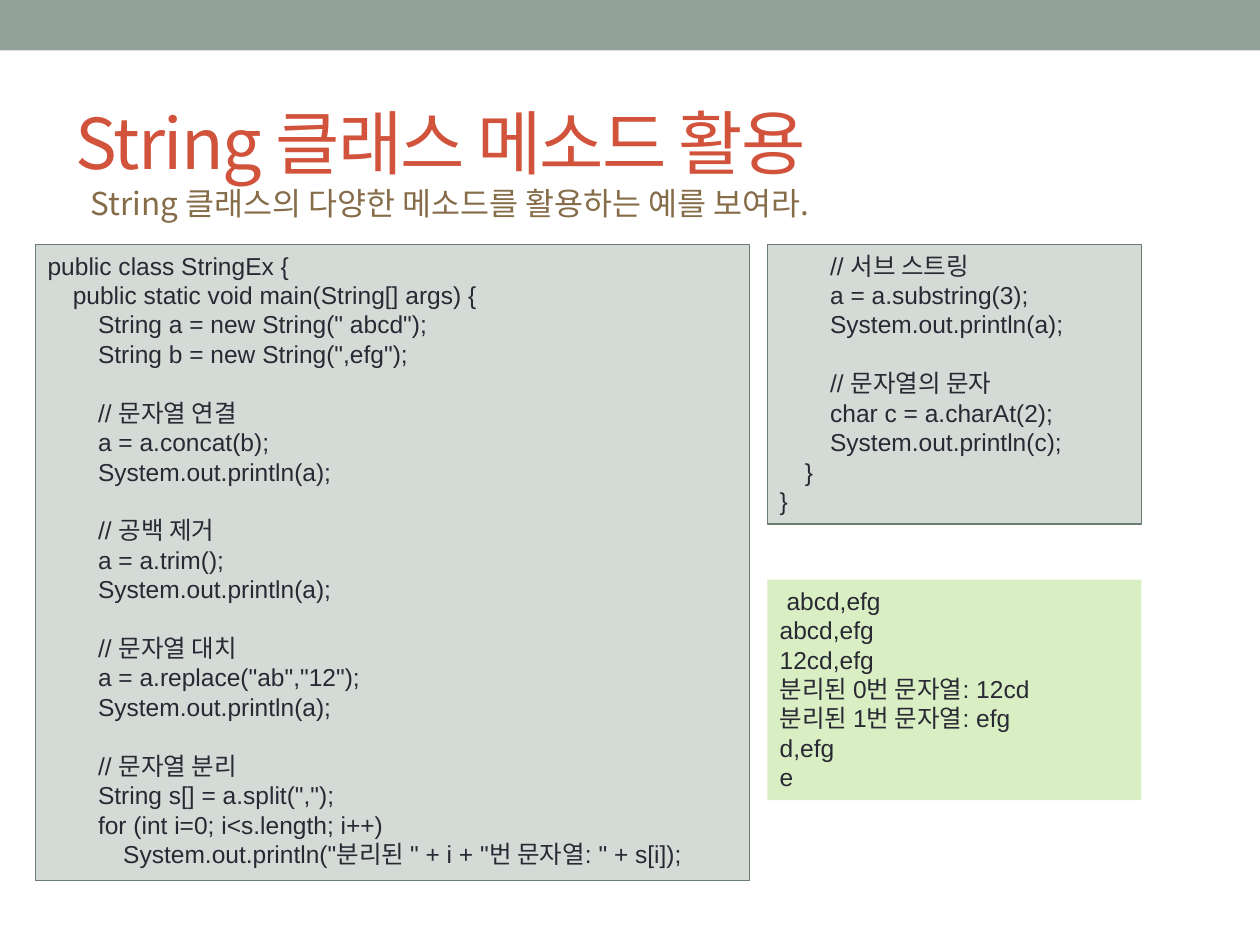
from pptx import Presentation
from pptx.dml.color import RGBColor as RGB
from pptx.enum.shapes import MSO_SHAPE as Shape
from pptx.enum.text import MSO_ANCHOR as Anchor, MSO_AUTO_SIZE as Fit, PP_ALIGN as Align
from pptx.oxml.ns import qn
from pptx.oxml.xmlchemy import OxmlElement as Node
from pptx.util import Inches, Pt

SAGE = RGB(0x93, 0xA2, 0x99)
PALE = RGB(0xD4, 0xDA, 0xD6)
EDGE = RGB(0x6B, 0x7D, 0x72)
LIME = RGB(0xDA, 0xEE, 0xC4)
RED = RGB(0xD2, 0x53, 0x3C)
BROWN = RGB(0x86, 0x6C, 0x49)
INK = RGB(0x29, 0x29, 0x34)
SANS = "Arial"
KOREAN = "Noto Sans CJK KR"
PITCH = Pt(16.8)
INDENT = " " * 4

MAIN = """
public class StringEx {
    public static void main(String[] args) {
        String a = new String(" abcd");
        String b = new String(",efg");

        // 문자열 연결
        a = a.concat(b);
        System.out.println(a);

        // 공백 제거
        a = a.trim();
        System.out.println(a);

        // 문자열 대치
        a = a.replace("ab","12");
        System.out.println(a);

        // 문자열 분리
        String s[] = a.split(",");
        for (int i=0; i<s.length; i++)
            System.out.println("분리된 " + i + "번 문자열: " + s[i]);
"""
REST = """
        // 서브 스트링
        a = a.substring(3);
        System.out.println(a);

        // 문자열의 문자
        char c = a.charAt(2);
        System.out.println(c);
    }
}
"""
RESULT = """
 abcd,efg
abcd,efg
12cd,efg
분리된 0번 문자열: 12cd
분리된 1번 문자열: efg
d,efg
e
"""


def style(para, name, size, color):
    para.alignment = Align.LEFT
    font = para.font
    font.name, font.size, font.color.rgb = name, Pt(size), color


def add_tabs(para):
    tabs = Node("a:tabLst")
    for level in range(1, 4):
        tab = Node("a:tab")
        tab.set("pos", str(Inches(0.2 * level)))
        tab.set("algn", "l")
        tabs.append(tab)
    para._p.get_or_add_pPr().append(tabs)


def add_rect(slide, box, fill, edge=None):
    rect = slide.shapes.add_shape(Shape.RECTANGLE, *map(Inches, box))
    rect.shadow.inherit = False
    rect.fill.solid()
    rect.fill.fore_color.rgb = fill
    if edge is None:
        rect.line.fill.background()
    else:
        rect.line.color.rgb = edge
        rect.line.width = Pt(0.75)
    return rect


def add_title(slide, box, text):
    title = slide.shapes.title
    title.left, title.top, title.width, title.height = map(Inches, box)
    frame = title.text_frame
    frame.text = text
    frame.auto_size = Fit.NONE
    frame.vertical_anchor = Anchor.MIDDLE
    para = frame.paragraphs[0]
    style(para, KOREAN, 40, RED)
    para._p.pPr.find(qn("a:defRPr")).set("spc", "-100")


def add_lead(slide, box, text):
    frame = slide.shapes.add_textbox(*map(Inches, box)).text_frame
    frame.word_wrap = False
    frame.text = text
    style(frame.paragraphs[0], KOREAN, 18, BROWN)


def add_panel(slide, box, text, fill, edge=None):
    frame = add_rect(slide, box, fill, edge).text_frame
    frame.word_wrap = True
    frame.vertical_anchor = Anchor.TOP
    para, gap = frame.paragraphs[0], False
    for row, line in enumerate(text.strip("\n").split("\n")):
        if not line:
            gap = True
            continue
        if row:
            para = frame.add_paragraph()
        para.text = line.replace(INDENT, "\t")
        para.line_spacing = PITCH
        if gap:
            para.space_before = PITCH
        add_tabs(para)
        style(para, SANS, 14, INK)
        gap = False


def main():
    deck = Presentation()
    deck.slide_width, deck.slide_height = Inches(10), Inches(7.5)
    slide = deck.slides.add_slide(deck.slide_layouts[5])
    add_rect(slide, (0, 0, 10, 0.4), SAGE)
    add_title(slide, (0.5, 0.58, 9, 1.08), "String 클래스 메소드 활용")
    add_panel(slide, (0.28, 1.94, 5.67, 5.05), MAIN, PALE, EDGE)
    add_lead(slide, (0.62, 1.41, 6.42, 0.4),
             "String 클래스의 다양한 메소드를 활용하는 예를 보여라.")
    add_panel(slide, (6.09, 4.6, 2.97, 1.75), RESULT, LIME)
    add_panel(slide, (6.09, 1.94, 2.97, 2.22), REST, PALE, EDGE)
    deck.save("out.pptx")


if __name__ == "__main__":
    main()
